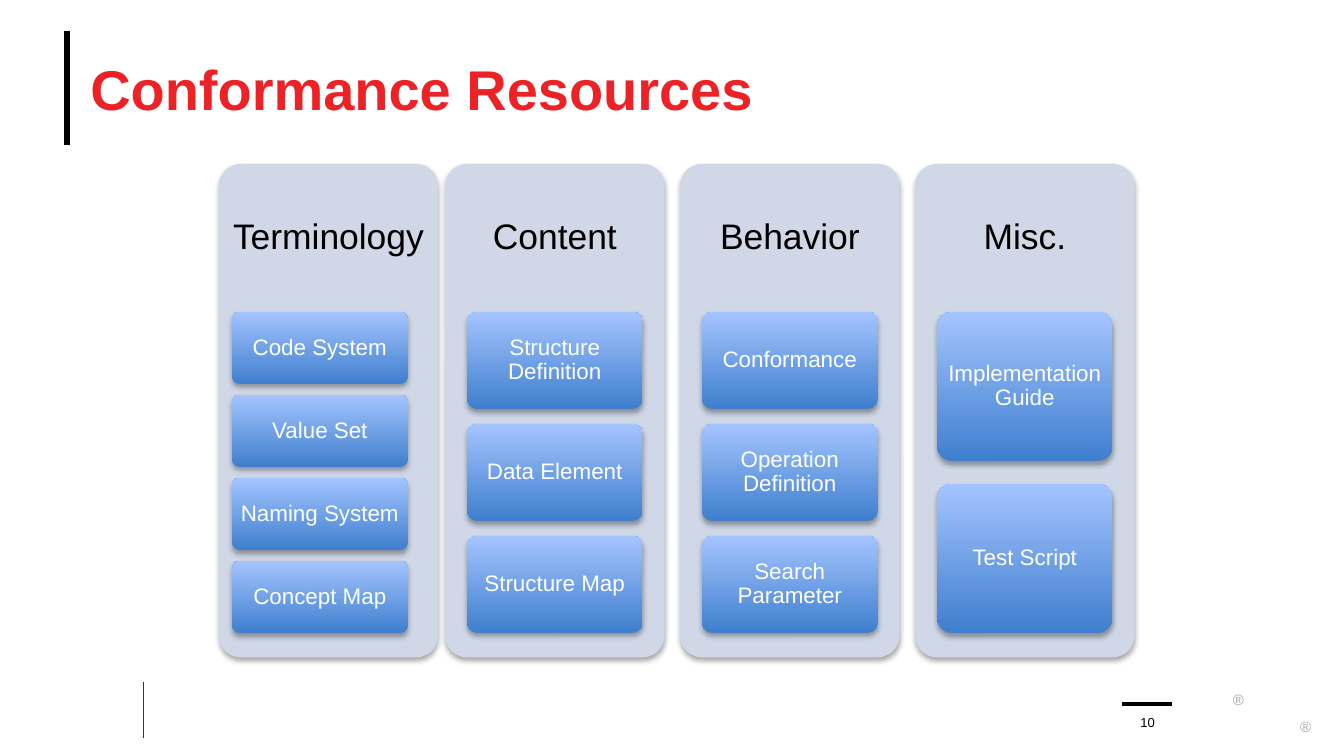
"""Build the Conformance Resources slide: four panels of tiles."""
from dataclasses import dataclass

from lxml import etree
from pptx import Presentation
from pptx.dml.color import RGBColor
from pptx.enum.shapes import MSO_CONNECTOR, MSO_SHAPE
from pptx.enum.text import MSO_ANCHOR, PP_ALIGN
from pptx.oxml.ns import qn
from pptx.shapes.autoshape import Shape
from pptx.slide import Slide
from pptx.util import Pt

ROUND = MSO_SHAPE.ROUNDED_RECTANGLE
STRAIGHT = MSO_CONNECTOR.STRAIGHT
TOP, MIDDLE, BOTTOM = MSO_ANCHOR.TOP, MSO_ANCHOR.MIDDLE, MSO_ANCHOR.BOTTOM
LEFT, CENTER = PP_ALIGN.LEFT, PP_ALIGN.CENTER

COLORS = {
    "black": "000000",
    "white": "FFFFFF",
    "red": "EC2227",
    "gray": "A6A6A6",
    "brown": "3D3029",
    "panel": "D0D8E8",
    "deep": "3F7FCE",
    "light": "A4C4FF",
}
FONT = "Arial"
PANEL_TOP, PANEL_W, PANEL_H = 87.8, 117.5, 264.4
HEAD_H = 79.3
TILE_TOP, TILE_W, STACK_H = 167.1, 94, 172
GAP_RATIO = 0.154


@dataclass
class Box:
    left: float
    top: float
    width: float
    height: float


@dataclass
class Style:
    size: float
    color: str
    align: PP_ALIGN = CENTER
    anchor: MSO_ANCHOR = MIDDLE
    bold: bool = False
    wrap: bool = True
    pad_x: float = 0
    pad_y: float = 0
    spacing: float = 1.0


@dataclass
class Panel:
    title: str
    left: float
    indent: float
    tiles: list[str]


@dataclass
class Rule:
    left: float
    top: float
    right: float
    bottom: float
    color: str
    width: float


HEAD = Style(19, "black", pad_x=5.8, pad_y=5.8, spacing=0.9)
TILE = Style(12, "white", pad_x=2.2, pad_y=2.2, spacing=0.9)
TITLE = Style(30, "red", LEFT, bold=True)
NUMBER = Style(7, "black", anchor=BOTTOM)
MARK = Style(8, "gray", anchor=TOP, wrap=False, pad_y=3.6)

PANELS = [
    Panel("Terminology", 117.2, 7.2,
          ["Code System", "Value Set", "Naming System", "Concept Map"]),
    Panel("Content", 238.5, 11.75,
          ["Structure Definition", "Data Element", "Structure Map"]),
    Panel("Behavior", 364.4, 11.75,
          ["Conformance", "Operation Definition", "Search Parameter"]),
    Panel("Misc.", 490.3, 11.75, ["Implementation Guide", "Test Script"]),
]
RULES = [
    Rule(36, 16.4, 36, 77.8, "black", 3.25),
    Rule(77, 365.4, 77, 395.3, "brown", 0.5),
    Rule(601, 377.1, 627.8, 377.1, "black", 2),
]
LABELS = [
    ("®", Box(659.5, 367.2, 8, 6.5), MARK),
    ("®", Box(696.2, 381.6, 6.5, 6.5), MARK),
    ("Conformance Resources", Box(48.4, 16.4, 648, 62), TITLE),
    ("10", Box(604, 377.3, 21.6, 13.7), NUMBER),
]


def tint(name: str) -> RGBColor:
    return RGBColor.from_string(COLORS[name])


def place(box: Box) -> tuple[Pt, Pt, Pt, Pt]:
    return Pt(box.left), Pt(box.top), Pt(box.width), Pt(box.height)


def write(shape: Shape, text: str, style: Style) -> None:
    frame = shape.text_frame
    frame.word_wrap = style.wrap
    frame.vertical_anchor = style.anchor
    frame.margin_left = frame.margin_right = Pt(style.pad_x)
    frame.margin_top = frame.margin_bottom = Pt(style.pad_y)
    line = frame.paragraphs[0]
    line.text = text
    line.alignment = style.align
    line.line_spacing = style.spacing
    line.font.name = FONT
    line.font.size = Pt(style.size)
    line.font.bold = style.bold
    line.font.color.rgb = tint(style.color)


def add_label(slide: Slide, text: str, box: Box, style: Style) -> None:
    write(slide.shapes.add_textbox(*place(box)), text, style)


def add_rule(slide: Slide, rule: Rule) -> None:
    line = slide.shapes.add_connector(
        STRAIGHT, Pt(rule.left), Pt(rule.top), Pt(rule.right), Pt(rule.bottom))
    line.line.color.rgb = tint(rule.color)
    line.line.width = Pt(rule.width)
    etree.SubElement(line._element.spPr, qn("a:effectLst"))


def add_card(slide: Slide, box: Box) -> Shape:
    card = slide.shapes.add_shape(ROUND, *place(box))
    card.adjustments[0] = 0.1
    card.line.fill.background()
    card.shadow.inherit = False
    effects = card._element.spPr.find(qn("a:effectLst"))
    shade = etree.SubElement(
        effects, qn("a:outerShdw"), blurRad=str(Pt(3.1)), dist=str(Pt(1.8)),
        dir="5400000", rotWithShape="0")
    color = etree.SubElement(shade, qn("a:srgbClr"), val=COLORS["black"])
    etree.SubElement(color, qn("a:alpha"), val="35000")
    return card


def add_tile(slide: Slide, text: str, box: Box) -> None:
    tile = add_card(slide, box)
    tile.fill.gradient()
    tile.fill.gradient_angle = 90
    for stop, name in zip(tile.fill.gradient_stops, ("deep", "light")):
        stop.color.rgb = tint(name)
    write(tile, text, TILE)


def add_panel(slide: Slide, panel: Panel) -> None:
    card = add_card(slide, Box(panel.left, PANEL_TOP, PANEL_W, PANEL_H))
    card.fill.solid()
    card.fill.fore_color.rgb = tint("panel")
    add_label(slide, panel.title,
              Box(panel.left, PANEL_TOP, PANEL_W, HEAD_H), HEAD)
    count = len(panel.tiles)
    height = STACK_H / (count + (count - 1) * GAP_RATIO)
    for i, text in enumerate(panel.tiles):
        top = TILE_TOP + i * height * (1 + GAP_RATIO)
        add_tile(slide, text,
                 Box(panel.left + panel.indent, top, TILE_W, height))


def main() -> None:
    deck = Presentation()
    deck.slide_width, deck.slide_height = Pt(720), Pt(405)
    slide = deck.slides.add_slide(deck.slide_layouts[6])
    for rule in RULES:
        add_rule(slide, rule)
    for text, box, style in LABELS:
        add_label(slide, text, box, style)
    for panel in PANELS:
        add_panel(slide, panel)
    deck.save("out.pptx")


if __name__ == "__main__":
    main()
